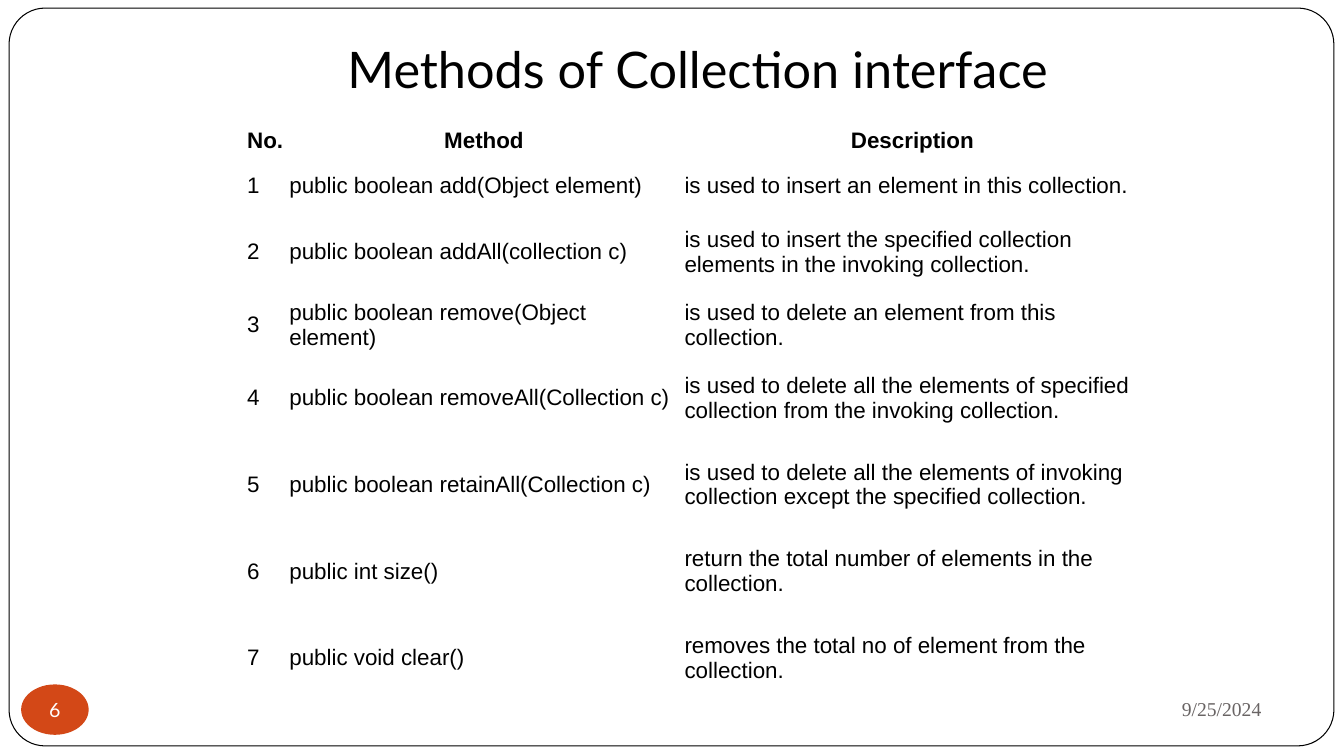
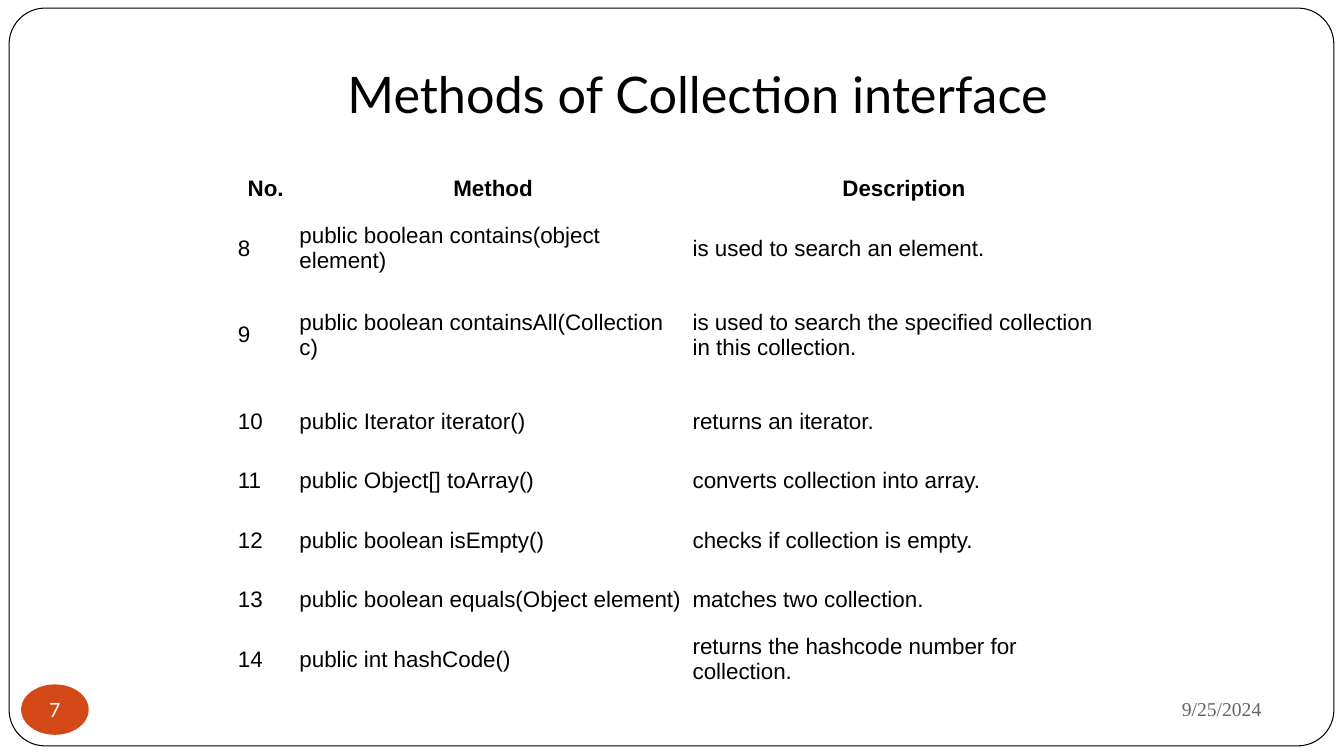
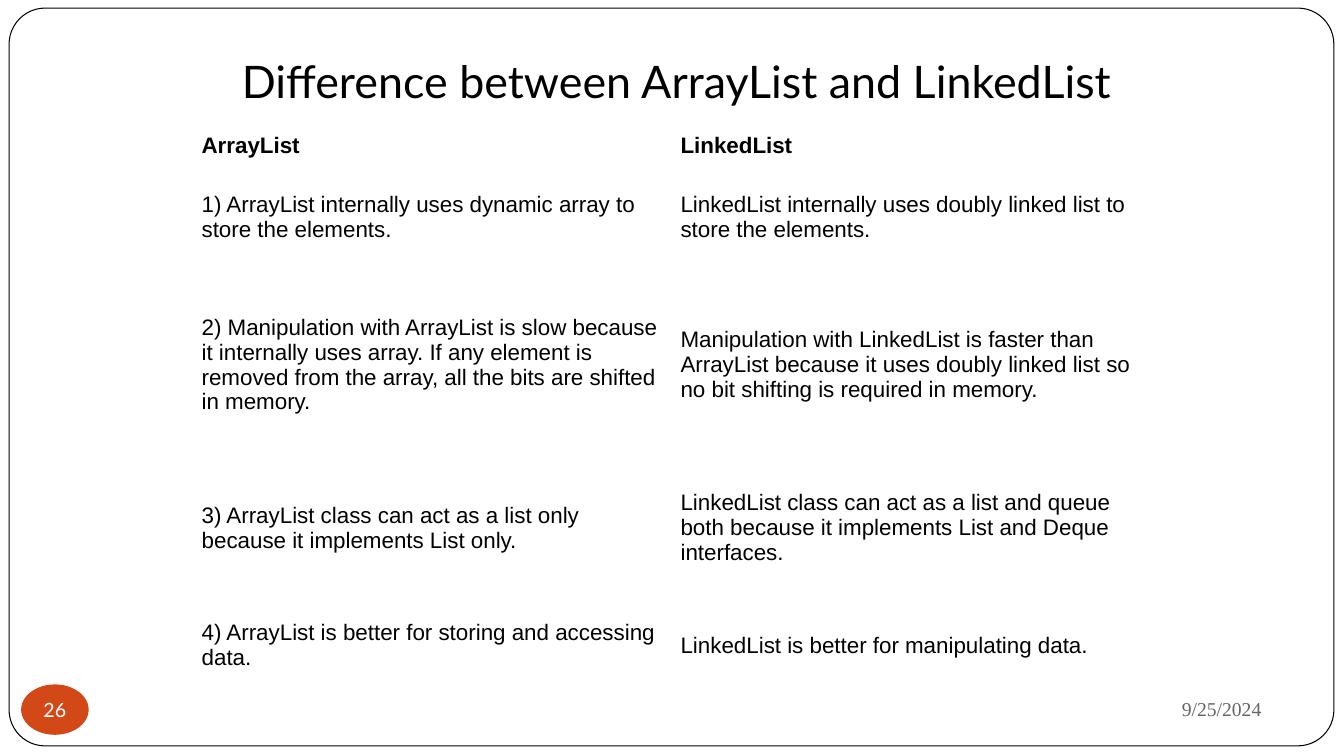
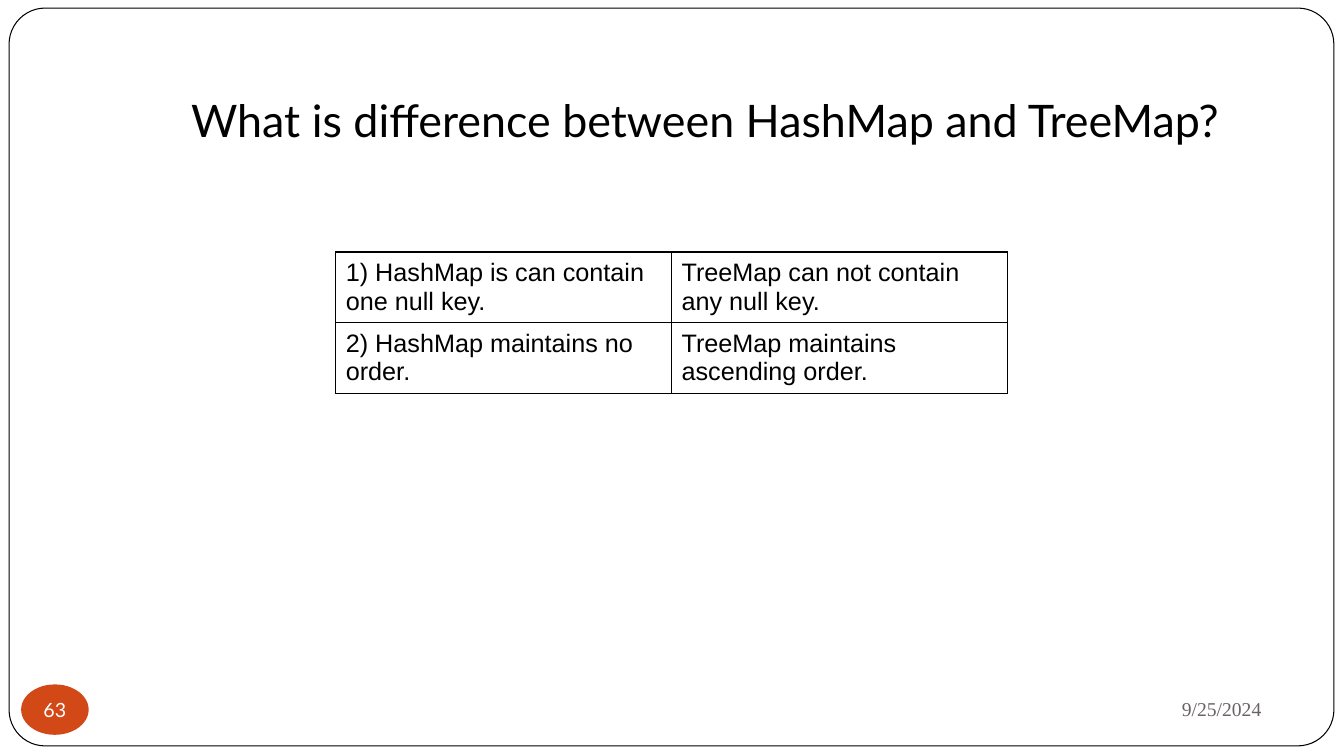
from lxml import etree
from pptx import Presentation
from pptx.dml.color import RGBColor
from pptx.enum.shapes import MSO_SHAPE as Shape
from pptx.enum.text import MSO_ANCHOR as Anchor, PP_ALIGN as Align
from pptx.oxml.ns import qn
from pptx.util import Inches, Pt

COLORS = {"paper": "FFFFFF", "ink": "000000", "badge": "D34817", "date": "696464"}
DATE = "9/25/2024"
SIDES = ("left", "top", "right", "bottom")

HEADINGS = ("No.", "Method", "Description")
FIRST_METHODS = [
    HEADINGS,
    ("1", "public boolean add(Object element)", "is used to insert an element in this collection."),
    ("2", "public boolean addAll(collection c)",
     "is used to insert the specified collection elements in the invoking collection."),
    ("3", "public boolean remove(Object element)", "is used to delete an element from this collection."),
    ("4", "public boolean removeAll(Collection c)",
     "is used to delete all the elements of specified collection from the invoking collection."),
    ("5", "public boolean retainAll(Collection c)",
     "is used to delete all the elements of invoking collection except the specified collection."),
    ("6", "public int size()", "return the total number of elements in the collection."),
    ("7", "public void clear()", "removes the total no of element from the collection."),
]
MORE_METHODS = [
    HEADINGS,
    ("8", "public boolean contains(object element)", "is used to search an element."),
    ("9", "public boolean containsAll(Collection c)",
     "is used to search the specified collection in this collection."),
    ("10", "public Iterator iterator()", "returns an iterator."),
    ("11", "public Object[] toArray()", "converts collection into array."),
    ("12", "public boolean isEmpty()", "checks if collection is empty."),
    ("13", "public boolean equals(Object element)", "matches two collection."),
    ("14", "public int hashCode()", "returns the hashcode number for collection."),
]
LISTS = [
    ("ArrayList", "LinkedList"),
    ("1) ArrayList internally uses dynamic array to store the elements.",
     "LinkedList internally uses doubly linked list to store the elements."),
    ("2) Manipulation with ArrayList is slow because it internally uses array. If any element is "
     "removed from the array, all the bits are shifted in memory.",
     "Manipulation with LinkedList is faster than ArrayList because it uses doubly linked list "
     "so no bit shifting is required in memory."),
    ("3) ArrayList class can act as a list only because it implements List only.",
     "LinkedList class can act as a list and queue both because it implements List and Deque interfaces."),
    ("4) ArrayList is better for storing and accessing data.",
     "LinkedList is better for manipulating data."),
]
MAPS = [
    ("1) HashMap is can contain one null key.", "TreeMap can not contain any null key."),
    ("2) HashMap maintains no order.", "TreeMap maintains ascending order."),
]


class Deck:
    def __init__(self):
        self.deck = Presentation()
        self.deck.slide_width, self.deck.slide_height = Inches(13.33), Inches(7.5)
        self.page = None

    def color(self, name):
        return RGBColor.from_string(COLORS[name])

    def add_page(self, number, title, title_at, title_size):
        self.page = self.deck.slides.add_slide(self.deck.slide_layouts[6])
        frame = self.shape(Shape.ROUNDED_RECTANGLE, (0.09, 0.08, 13.14, 7.32), "paper", "ink")
        frame.adjustments[0] = 0.049
        self.text(title, title_at, Anchor.BOTTOM, (0.1, 0.05, 0.1, 0.1), Align.CENTER,
                  name="Lato", size=title_size)
        badge = self.shape(Shape.OVAL, (0.21, 6.79, 0.67, 0.5), "badge")
        self.fill_text(badge.text_frame, number, Align.CENTER, name="Lato", size=14, color="paper")
        self.inset(badge.text_frame, (0, 0, 0, 0))
        badge.text_frame.vertical_anchor = Anchor.MIDDLE
        self.text(DATE, (9, 6.77, 3.61, 0.52), Anchor.MIDDLE, (0.1, 0.05, 0.1, 0.05), Align.RIGHT,
                  name="Times New Roman", size=14, color="date")

    def shape(self, kind, at, fill, line=None):
        shape = self.page.shapes.add_shape(kind, *map(Inches, at))
        shape.shadow.inherit = False
        shape.fill.solid()
        shape.fill.fore_color.rgb = self.color(fill)
        if line:
            shape.line.color.rgb = self.color(line)
            shape.line.width = Pt(0.75)
        else:
            shape.line.fill.background()
        return shape

    def inset(self, holder, margins):
        for side, margin in zip(SIDES, margins):
            setattr(holder, f"margin_{side}", Inches(margin))

    def fill_text(self, frame, words, align, size, color="ink", **values):
        frame.word_wrap = True
        para = frame.paragraphs[0]
        para.alignment = align
        span = para.add_run()
        span.text = words
        span.font.color.rgb = self.color(color)
        for key, value in {"size": Pt(size), **values}.items():
            setattr(span.font, key, value)

    def text(self, words, at, anchor, margins, align, **values):
        box = self.page.shapes.add_textbox(*map(Inches, at))
        self.inset(box.text_frame, margins)
        box.text_frame.vertical_anchor = anchor
        self.fill_text(box.text_frame, words, align, **values)

    def table(self, rows, left, top, widths, heights, margins, size=16,
              heading=True, heading_align=Align.LEFT, border=False):
        area = map(Inches, (left, top, sum(widths), sum(heights)))
        table = self.page.shapes.add_table(len(rows), len(widths), *area).table
        table.first_row = table.horz_banding = False
        for column, width in zip(table.columns, widths):
            column.width = Inches(width)
        for row, height in zip(table.rows, heights):
            row.height = Inches(height)
        for index, row in enumerate(rows):
            top_row = heading and index == 0
            for column, words in enumerate(row):
                cell = table.cell(index, column)
                self.inset(cell, margins)
                cell.vertical_anchor = Anchor.MIDDLE
                self.fill_text(cell.text_frame, words, heading_align if top_row else Align.LEFT,
                               size=size, name="Arial", bold=top_row)
                if border:
                    self.border(cell)
                cell.fill.background()

    def border(self, cell):
        properties = cell._tc.get_or_add_tcPr()
        for edge in ("lnL", "lnR", "lnT", "lnB"):
            line = etree.SubElement(properties, qn(f"a:{edge}"), w=str(Pt(1)))
            fill = etree.SubElement(line, qn("a:solidFill"))
            etree.SubElement(fill, qn("a:srgbClr"), val=COLORS["ink"])


def main():
    show = Deck()
    narrow = (0.03, 0.01, 0.03, 0.01)

    show.add_page("6", "Methods of Collection interface", (2.67, 0.3, 8.5, 0.78), 36)
    show.table(FIRST_METHODS, 2.42, 1.17, (0.42, 3.92, 4.58),
               [0.45, 0.45, 0.86, 0.59] + [0.86] * 4, narrow, heading_align=Align.CENTER)

    show.add_page("7", "Methods of Collection interface", (2.67, 0.3, 8.5, 1.03), 36)
    show.table(MORE_METHODS, 2.33, 1.58, (0.61, 3.9, 4.25),
               [0.59] * 2 + [1.13] + [0.59] * 5, narrow, heading_align=Align.CENTER)

    show.add_page("26", "Difference between ArrayList and LinkedList", (2, 0.3, 9.42, 0.87), 32)
    show.table(LISTS, 1.92, 1.25, [4.75] * 2, (0.4, 1.01, 1.92, 1.32, 1.01),
               (0.08, 0.04, 0.08, 0.04))

    show.add_page("63", "What is difference between HashMap and TreeMap?", (1.33, 0.3, 11.33, 1.25), 32)
    show.table(MAPS, 3.33, 2.5, [3.33] * 2, [0.7] * 2, (0.1, 0.05, 0.1, 0.05),
               size=18, heading=False, border=True)

    show.deck.save("out.pptx")


if __name__ == "__main__":
    main()
